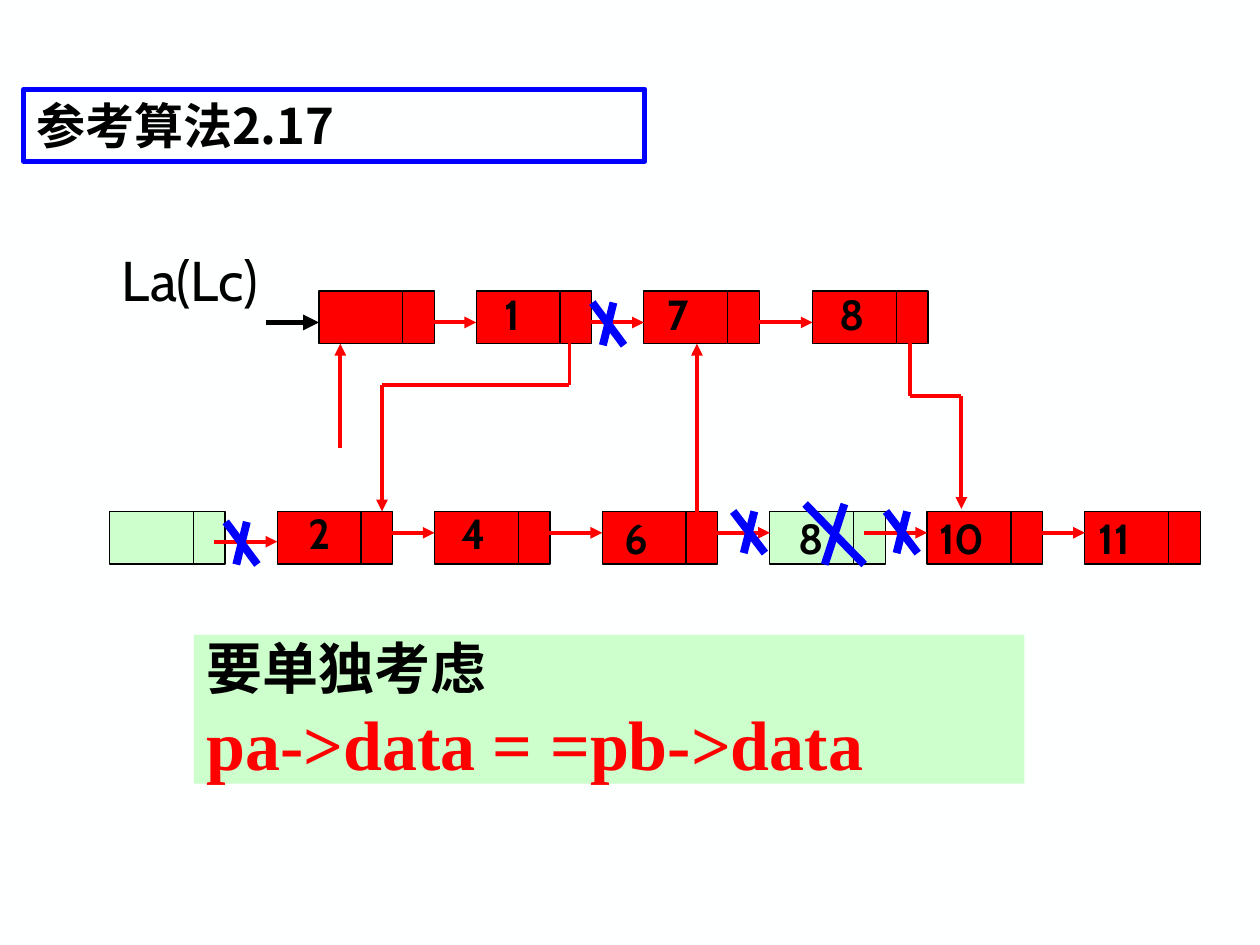
from dataclasses import dataclass
from itertools import pairwise

from pptx import Presentation
from pptx.dml.color import RGBColor
from pptx.enum.shapes import MSO_CONNECTOR, MSO_SHAPE
from pptx.enum.text import MSO_ANCHOR, MSO_AUTO_SIZE, PP_ALIGN
from pptx.oxml.ns import qn
from pptx.util import Cm, Pt
from lxml import etree

RECTANGLE = MSO_SHAPE.RECTANGLE
STRAIGHT = MSO_CONNECTOR.STRAIGHT
MIDDLE = MSO_ANCHOR.MIDDLE
LEFT = PP_ALIGN.LEFT
FIT_SHAPE = MSO_AUTO_SIZE.SHAPE_TO_FIT_TEXT
NO_FIT = MSO_AUTO_SIZE.NONE


@dataclass(frozen=True)
class Theme:
    background: str = "FEFFFF"
    black: str = "000000"
    red: str = "FF0000"
    blue: str = "0000FF"
    green: str = "CCFFCC"
    heading_font: str = "Noto Sans CJK SC"
    label_font: str = "Cabin"
    code_font: str = "Times New Roman"
    title_size: float = 28
    list_name_size: float = 32
    value_size: float = 24
    code_size: float = 40
    border: float = 0.75
    link: float = 2.25
    frame: float = 3
    cross: float = 4.5


THEME = Theme()

DATA_WIDTH, POINTER_WIDTH, NODE_HEIGHT = 1.69, 0.64, 1.06
LINK_LENGTH = 1.27
TOP_ROW, BOTTOM_ROW = 5.87, 10.31
TOP_LINK, BOTTOM_LINK, HEAD_LINK = 6.5, 10.74, 10.92

TOP_NODES = [
    (6.43, "", 0, 0, THEME.red),
    (9.6, "1", 0.33, -0.18, THEME.red),
    (12.98, "7", 0.23, -0.18, THEME.red),
    (16.38, "8", 0.3, -0.18, THEME.red),
]
BOTTOM_NODES = [
    (2.21, "", 0, 0, THEME.green),
    (5.59, "2", 0.38, -0.2, THEME.red),
    (8.76, "4", 0.3, -0.2, THEME.red),
    (12.14, "6", 0.2, -0.1, THEME.red),
    (15.52, "8", 0.33, -0.1, THEME.green),
    (18.69, "10", 0, -0.1, THEME.red),
    (21.87, "11", 0.03, -0.1, THEME.red),
]
ROUTES = [
    [(6.86, 9.04), (6.86, 6.93)],
    [(11.48, 6.5), (11.48, 7.77), (7.7, 7.77), (7.7, 10.31)],
    [(14.05, 10.74), (14.05, 6.93)],
    [(18.34, 6.5), (18.34, 7.98), (19.38, 7.98), (19.38, 10.26)],
]
CROSSES = [
    (11.94, 6.1, 0.64, 0.86),
    (14.78, 10.31, 0.64, 0.84),
    (4.55, 10.52, 0.64, 0.86),
    (16.23, 10.16, 1.19, 1.22),
    (17.86, 10.31, 0.64, 0.84),
]


def write_text(paragraph, text, *, size, font=THEME.label_font, color=THEME.black, bold=True):
    run = paragraph.add_run()
    run.text = text
    run.font.size = Pt(size)
    run.font.bold = bold
    run.font.name = font
    run.font.color.rgb = RGBColor.from_string(color)
    east_asian = etree.SubElement(run.font._element, qn("a:ea"))
    east_asian.set("typeface", THEME.heading_font)


def add_box(shapes, left, top, width, height, fill, border=None):
    shape = shapes.add_shape(RECTANGLE, Cm(left), Cm(top), Cm(width), Cm(height))
    shape.shadow.inherit = False
    shape.fill.solid()
    shape.fill.fore_color.rgb = RGBColor.from_string(fill)
    if border:
        shape.line.color.rgb = RGBColor.from_string(border)
        shape.line.width = Pt(THEME.border)
    else:
        shape.line.fill.background()
    return shape


def add_line(shapes, start, end, color=THEME.red, width=THEME.link, arrow=False):
    connector = shapes.add_connector(STRAIGHT, *map(Cm, (*start, *end)))
    connector.line.color.rgb = RGBColor.from_string(color)
    connector.line.width = Pt(width)
    if arrow:
        etree.SubElement(connector.line._get_or_add_ln(), qn("a:tailEnd")).set("type", "triangle")
    etree.SubElement(connector._element.spPr, qn("a:effectLst"))


def add_label(slide, text, left, top, width, height, size, bold=True, wrap=False):
    box = slide.shapes.add_textbox(Cm(left), Cm(top), Cm(width), Cm(height))
    box.text_frame.word_wrap = wrap
    box.text_frame.auto_size = FIT_SHAPE
    write_text(box.text_frame.paragraphs[0], text, size=size, bold=bold)


def add_node(slide, left, top, fill):
    node = slide.shapes.add_group_shape().shapes
    add_box(node, left, top, DATA_WIDTH, NODE_HEIGHT, fill, THEME.black)
    add_box(node, left + DATA_WIDTH, top, POINTER_WIDTH, NODE_HEIGHT, fill, THEME.black)


def add_row(slide, nodes, top, link_heights):
    for left, value, shift, rise, fill in nodes:
        add_node(slide, left, top, fill)
    for (left, *_), height in zip(nodes[1:], link_heights):
        add_line(slide.shapes, (left - LINK_LENGTH, height), (left, height), arrow=True)
    for left, value, shift, rise, fill in nodes:
        if value:
            width = 1.04 if len(value) == 1 else 1.57
            add_label(slide, value, left + shift, top + rise, width, 1.27, THEME.value_size)


def add_route(slide, points):
    for start, end in pairwise(points):
        add_line(slide.shapes, start, end, arrow=end == points[-1])


def add_cross(slide, left, top, width, height):
    strokes = slide.shapes.add_group_shape().shapes
    bottom = top + height
    for start, end in ((2 / 3, 1 / 3), (0, 1)):
        add_line(strokes, (left + width * start, top), (left + width * end, bottom),
                 THEME.blue, THEME.cross)


def format_title(slide, text):
    title = slide.shapes.title
    title.left, title.top, title.width, title.height = Cm(0.48), Cm(1.8), Cm(12.52), Cm(1.45)
    title.line.color.rgb = RGBColor.from_string(THEME.blue)
    title.line.width = Pt(THEME.frame)
    frame = title.text_frame
    frame.auto_size = NO_FIT
    frame.vertical_anchor = MIDDLE
    frame.paragraphs[0].alignment = LEFT
    write_text(frame.paragraphs[0], text, size=THEME.title_size, font=THEME.heading_font)


def add_note_panel(slide):
    panel = add_box(slide.shapes, 3.91, 12.8, 16.74, 3, THEME.green)
    panel.text_frame.word_wrap = True
    panel.text_frame.vertical_anchor = MIDDLE
    paragraph = panel.text_frame.paragraphs[0]
    paragraph.alignment = LEFT
    write_text(paragraph, "要单独考虑", size=THEME.list_name_size, font=THEME.code_font)
    paragraph.add_line_break()
    write_text(paragraph, "pa->data = =pb->data", size=THEME.code_size,
               font=THEME.code_font, color=THEME.red)


def main():
    presentation = Presentation()
    presentation.slide_width, presentation.slide_height = Cm(25.4), Cm(19.05)
    slide = presentation.slides.add_slide(presentation.slide_layouts[5])
    slide.background.fill.solid()
    slide.background.fill.fore_color.rgb = RGBColor.from_string(THEME.background)

    format_title(slide, "参考算法2.17")
    add_note_panel(slide)
    add_row(slide, TOP_NODES, TOP_ROW, [TOP_LINK] * 3)
    add_row(slide, BOTTOM_NODES, BOTTOM_ROW, [HEAD_LINK] + [BOTTOM_LINK] * 5)
    for points in ROUTES:
        add_route(slide, points)
    add_line(slide.shapes, (5.36, TOP_LINK), (6.43, TOP_LINK), THEME.black, THEME.frame, True)
    add_label(slide, "La(Lc)", 2.21, 4.83, 3.76, 1.6, THEME.list_name_size, bold=False, wrap=True)
    for cross in CROSSES:
        add_cross(slide, *cross)
    presentation.save("out.pptx")


if __name__ == "__main__":
    main()
